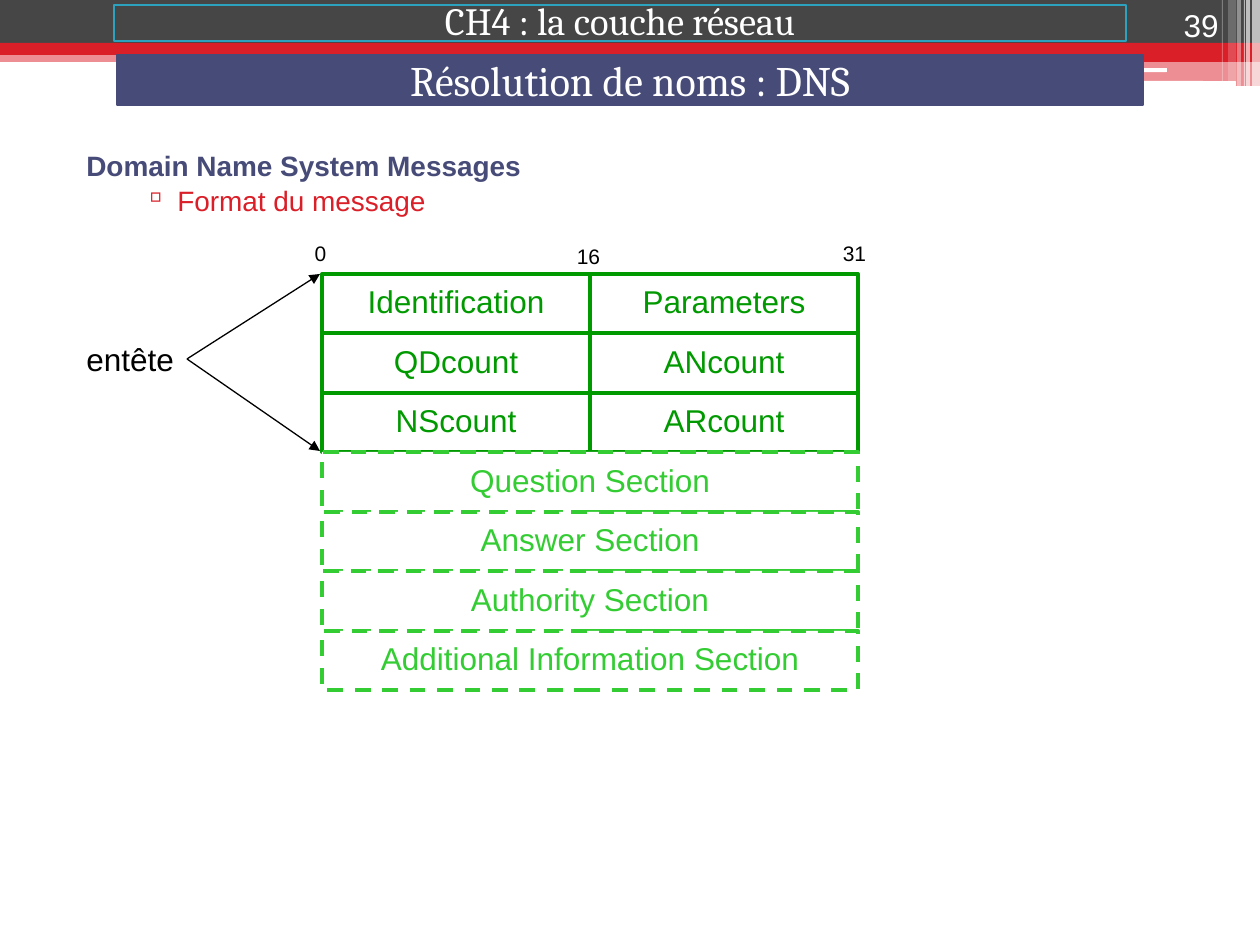
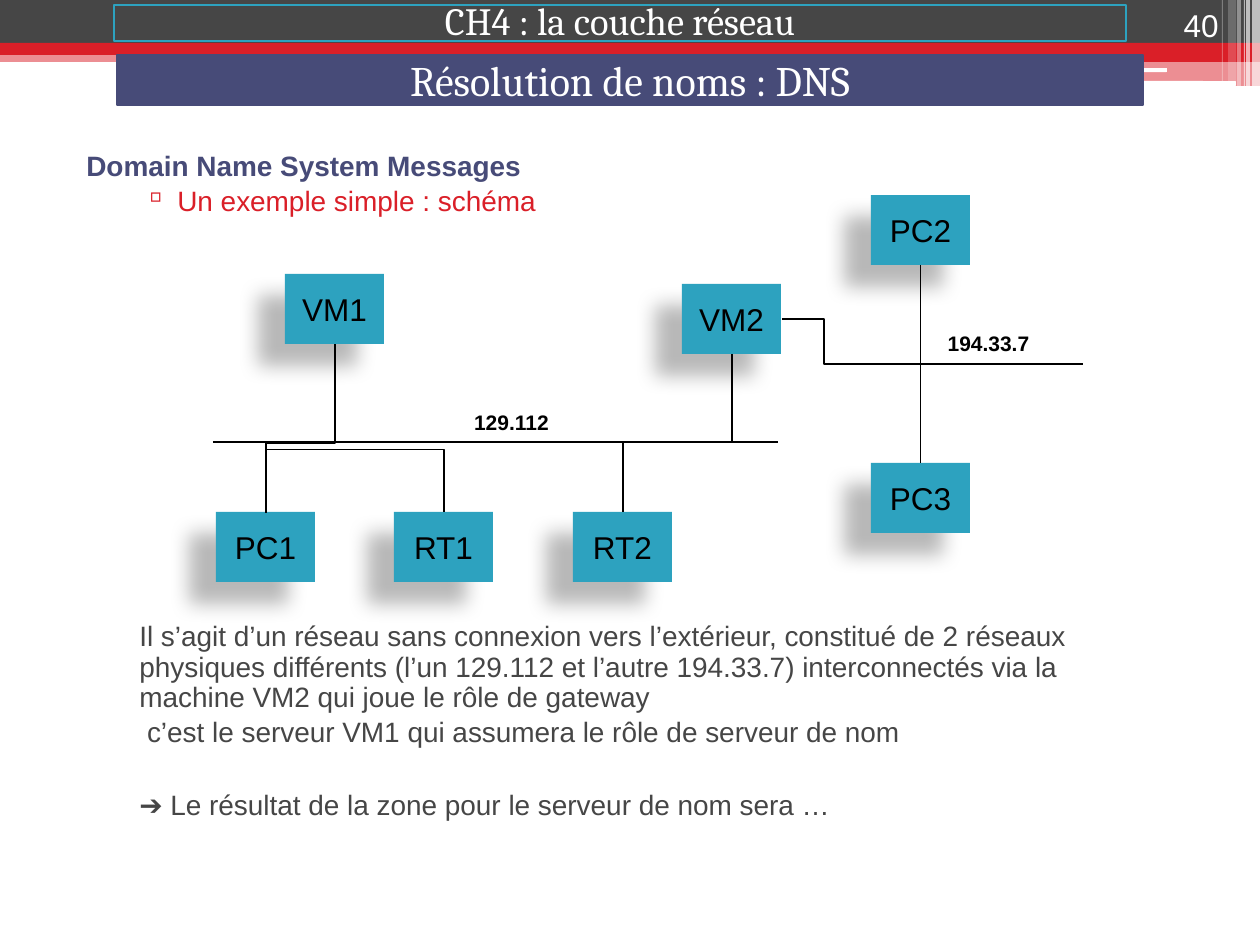
from dataclasses import dataclass

from lxml.etree import SubElement
from pptx import Presentation
from pptx.dml.color import RGBColor
from pptx.enum.dml import MSO_LINE_DASH_STYLE as Dash
from pptx.enum.shapes import MSO_CONNECTOR as Wire, MSO_SHAPE as Preset
from pptx.enum.text import MSO_ANCHOR as Anchor, MSO_AUTO_SIZE as AutoSize, PP_ALIGN as Align
from pptx.oxml.ns import qn
from pptx.util import Emu, Pt

PX_PER_INCH = 126


def px(length):
    return Emu(round(length * 914400 / PX_PER_INCH))


@dataclass(frozen=True)
class Theme:
    red: str = "DA1F28"
    gray: str = "464646"
    navy: str = "474B78"
    teal: str = "2DA2BF"
    green: str = "009900"
    lime: str = "33CC33"
    white: str = "FFFFFF"
    black: str = "000000"
    body_font: str = "Arial"
    title_font: str = "Cambria"
    title_size: int = 24
    chapter_size: int = 22
    label_size: int = 18
    body_size: int = 16
    small_size: int = 12


class Deck:
    def __init__(self, theme):
        self.theme = theme
        self.file = Presentation()
        self.file.slide_width, self.file.slide_height = px(1260), px(945)
        self.page = None

    def new_page(self):
        self.page = self.file.slides.add_slide(self.file.slide_layouts[6])

    def style(self, para, color, size=None, font=None, bold=False):
        para.font.name = font or self.theme.body_font
        para.font.size = Pt(size or self.theme.label_size)
        para.font.bold = bold
        para.font.color.rgb = RGBColor.from_string(color)

    def box(self, left, top, width, height, fill=None, alpha=100, line=None,
            weight=1.5, dash=None, preset=Preset.RECTANGLE):
        box = self.page.shapes.add_shape(preset, px(left), px(top), px(width), px(height))
        box.shadow.inherit = False
        if fill:
            box.fill.solid()
            box.fill.fore_color.rgb = RGBColor.from_string(fill)
            if alpha < 100:
                color = box.fill._xPr.find(qn("a:solidFill"))[0]
                SubElement(color, qn("a:alpha"), val=str(alpha * 1000))
        else:
            box.fill.background()
        if line:
            box.line.color.rgb = RGBColor.from_string(line)
            box.line.width = Pt(weight)
            box.line.dash_style = dash
        else:
            box.line.fill.background()
        return box

    def label(self, box, text, color, size=None, font=None, spacing=1.0, wrap=False):
        frame = box.text_frame
        frame.word_wrap = wrap
        frame.vertical_anchor = Anchor.MIDDLE
        para = frame.paragraphs[0]
        para.text = text
        para.alignment = Align.CENTER
        para.line_spacing = spacing
        self.style(para, color, size, font)

    def text_block(self, left, top, width, height, anchor=Anchor.MIDDLE):
        block = self.page.shapes.add_textbox(px(left), px(top), px(width), px(height))
        block.text_frame.word_wrap = True
        block.text_frame.vertical_anchor = anchor
        return block

    def note(self, left, top, width, height, text, size, align=Align.CENTER, bold=False):
        note = self.text_block(left, top, width, height, Anchor.TOP)
        note.text_frame.word_wrap = False
        note.text_frame.auto_size = AutoSize.SHAPE_TO_FIT_TEXT
        para = note.text_frame.paragraphs[0]
        para.text = text
        para.alignment = align
        self.style(para, self.theme.black, size, bold=bold)
        return note

    def connector(self, kind, start, end, weight):
        wire = self.page.shapes.add_connector(kind, *map(px, start + end))
        wire.line.color.rgb = RGBColor.from_string(self.theme.black)
        wire.line.width = Pt(weight)
        SubElement(wire._element.spPr, qn("a:effectLst"))
        return wire

    def straight(self, start, end, weight=1.0, arrow=False):
        wire = self.connector(Wire.STRAIGHT, start, end, weight)
        if arrow:
            SubElement(wire.line._get_or_add_ln(), qn("a:tailEnd"), type="triangle")
        return wire

    def elbow(self, start, end, bend, vertical=True):
        """Bent line; bend is the share of the run before the first turn."""
        if vertical:  # lay it out sideways about its centre, then turn it by 90 degrees
            (x1, y1), (x2, y2) = start, end
            mid_x, mid_y = (x1 + x2) / 2, (y1 + y2) / 2
            half_x, half_y = (x2 - x1) / 2, (y2 - y1) / 2
            start = (mid_x - half_y, mid_y + half_x)
            end = (mid_x + half_y, mid_y - half_x)
        wire = self.connector(Wire.ELBOW, start, end, 1.0)
        properties = wire._element.spPr
        if vertical:
            properties.find(qn("a:xfrm")).set("rot", str(90 * 60000))
        geometry = properties.find(qn("a:prstGeom"))
        guides = geometry.find(qn("a:avLst"))
        if guides is None:
            guides = SubElement(geometry, qn("a:avLst"))
        SubElement(guides, qn("a:gd"), name="adj1", fmla=f"val {round(bend * 100000)}")

    def machine(self, name, left, top):
        box = self.box(left, top, 99, 70, self.theme.teal)
        self.label(box, name, self.theme.black)
        effects = box._element.spPr.find(qn("a:effectLst"))
        shadow = SubElement(effects, qn("a:outerShdw"), blurRad=str(Pt(11.8)),
                            dist=str(Pt(19.7)), dir=str(141 * 60000), algn="ctr", rotWithShape="0")
        color = SubElement(shadow, qn("a:srgbClr"), val=self.theme.black)
        SubElement(color, qn("a:alpha"), val="28000")
        return box

    def frame(self, number, topic):
        theme = self.theme
        # Bands across the top
        for *place, color, alpha in (
            (0, 50, 1260, 12, theme.red, 50),
            (0, 0, 1260, 43, theme.gray, 100),
            (0, 43, 1260, 12, theme.red, 100),
            (746, 49, 514, 13, theme.red, 100),
            (746, 62, 514, 24, theme.red, 50),
        ):
            self.box(*place, color, alpha)
        for place in ((745, 68, 422, 4), (1016, 81, 220, 5)):
            self.box(*place, theme.white, preset=Preset.ROUNDED_RECTANGLE)
        # Pale stripes at the right edge
        for left, width, height, alpha in (
            (1252, 8, 86, 65), (1246, 4, 86, 65), (1244, 1, 86, 60),
            (1237, 4, 86, 40), (1228, 8, 81, 20), (1222, 1, 81, 30),
        ):
            self.box(left, 0, width, height, theme.white, alpha)
        # Headings and page number
        title = self.box(117, 55, 1026, 50, theme.navy, line=theme.navy)
        self.label(title, "Résolution de noms : DNS", theme.white,
                   theme.title_size, theme.title_font, wrap=True)
        chapter = self.box(114, 5, 1012, 36, line=theme.teal)
        self.label(chapter, "CH4 : la couche réseau", theme.white,
                   theme.chapter_size, theme.title_font, 0.9, wrap=True)
        para = self.text_block(1126, 0, 105, 50, Anchor.BOTTOM).text_frame.paragraphs[0]
        para.text = str(number)
        para.alignment = Align.RIGHT
        self.style(para, theme.white)
        # Topic with its bullet
        body = self.text_block(74, 135, 1121, 100).text_frame
        heading, bullet = body.paragraphs[0], body.add_paragraph()
        heading.text, bullet.text = "Domain Name System Messages", topic
        for para in (heading, bullet):
            para.line_spacing = 0.9
            para.space_before = Pt(3)
        self.style(heading, theme.navy, theme.body_size, bold=True)
        self.style(bullet, theme.red, theme.body_size)
        properties = bullet._p.get_or_add_pPr()
        properties.set("marL", str(px(91)))
        properties.set("indent", str(px(-34)))
        # the bullet belongs before the default run properties
        marker_color = SubElement(properties, qn("a:buClr"))
        SubElement(marker_color, qn("a:srgbClr"), val=theme.red)
        marker = SubElement(properties, qn("a:buChar"), char="▫")
        defaults = properties.find(qn("a:defRPr"))
        defaults.addprevious(marker_color)
        defaults.addprevious(marker)


def build_message_format(deck):
    theme = deck.theme
    deck.new_page()
    deck.frame(39, "Format du message")

    # Message fields: header pairs, then full-width sections
    left, top, half = 322, 274, 268
    rows = (
        ("Identification", "Parameters"), ("QDcount", "ANcount"), ("NScount", "ARcount"),
        ("Question Section",), ("Answer Section",), ("Authority Section",),
        ("Additional Information Section",),
    )
    edges = [top + row * 119 // 2 for row in range(len(rows) + 1)]
    for names, upper, lower in zip(rows, edges, edges[1:]):
        header = len(names) == 2
        color, dash = (theme.green, None) if header else (theme.lime, Dash.DASH)
        width = 2 * half // len(names)
        for column, name in enumerate(names):
            field = deck.box(left + column * width, upper, width, lower - upper,
                             theme.white, line=color, weight=2.25, dash=dash)
            deck.label(field, name, color, spacing=0.9)

    # Header bracket
    header_note = deck.note(74, 334, 113, 50, "entête", theme.label_size, Align.LEFT)
    for target in (274, 451):
        arrow = deck.straight((187, 359), (320, target), 0.75, arrow=True)
        arrow.begin_connect(header_note, 3)

    # Bit positions
    for bit, x, y, width in (("0", 302, 234, 37), ("16", 564, 237, 49), ("31", 830, 234, 49)):
        deck.note(x, y, width, 38, bit, theme.small_size)


def build_network_example(deck):
    theme = deck.theme
    deck.new_page()
    deck.frame(40, "Un exemple simple : schéma")

    # Machines
    machines = {name: deck.machine(name, left, top) for name, left, top in (
        ("VM1", 285, 274), ("PC1", 216, 512), ("RT1", 394, 512), ("RT2", 573, 512),
        ("VM2", 682, 284), ("PC2", 871, 195), ("PC3", 871, 463),
    )}

    # Network lines
    deck.straight((213, 442), (778, 442))
    deck.elbow((335, 344), (266, 512), 0.59)
    deck.elbow((266, 513), (444, 512), 64)
    deck.elbow((732, 354), (623, 512), 0.56)
    deck.elbow((782, 319), (1083, 364), 0.14, vertical=False)
    link = deck.straight((920, 265), (920, 463))
    link.begin_connect(machines["PC2"], 2)
    link.end_connect(machines["PC3"], 0)
    deck.note(461, 403, 101, 38, "129.112", theme.small_size, bold=True)
    deck.note(935, 324, 107, 38, "194.33.7", theme.small_size, bold=True)

    # Explanation
    frame = deck.text_block(127, 601, 1032, 242).text_frame
    for index, (text, gap) in enumerate((
        ("Il s’agit d’un réseau sans connexion vers l’extérieur, constitué de 2 réseaux "
         "physiques différents (l’un 129.112 et l’autre 194.33.7) interconnectés via la "
         "machine VM2 qui joue le rôle de gateway", 3),
        (" c’est le serveur VM1 qui assumera le rôle de serveur de nom", 3),
        ("➔ Le résultat de la zone pour le serveur de nom sera …", 24),
    )):
        para = frame.add_paragraph() if index else frame.paragraphs[0]
        para.text = text
        para.line_spacing = 0.9
        para.space_before = Pt(gap)
        deck.style(para, theme.gray, theme.body_size)


def main():
    deck = Deck(Theme())
    build_message_format(deck)
    build_network_example(deck)
    deck.file.save("out.pptx")


if __name__ == "__main__":
    main()
